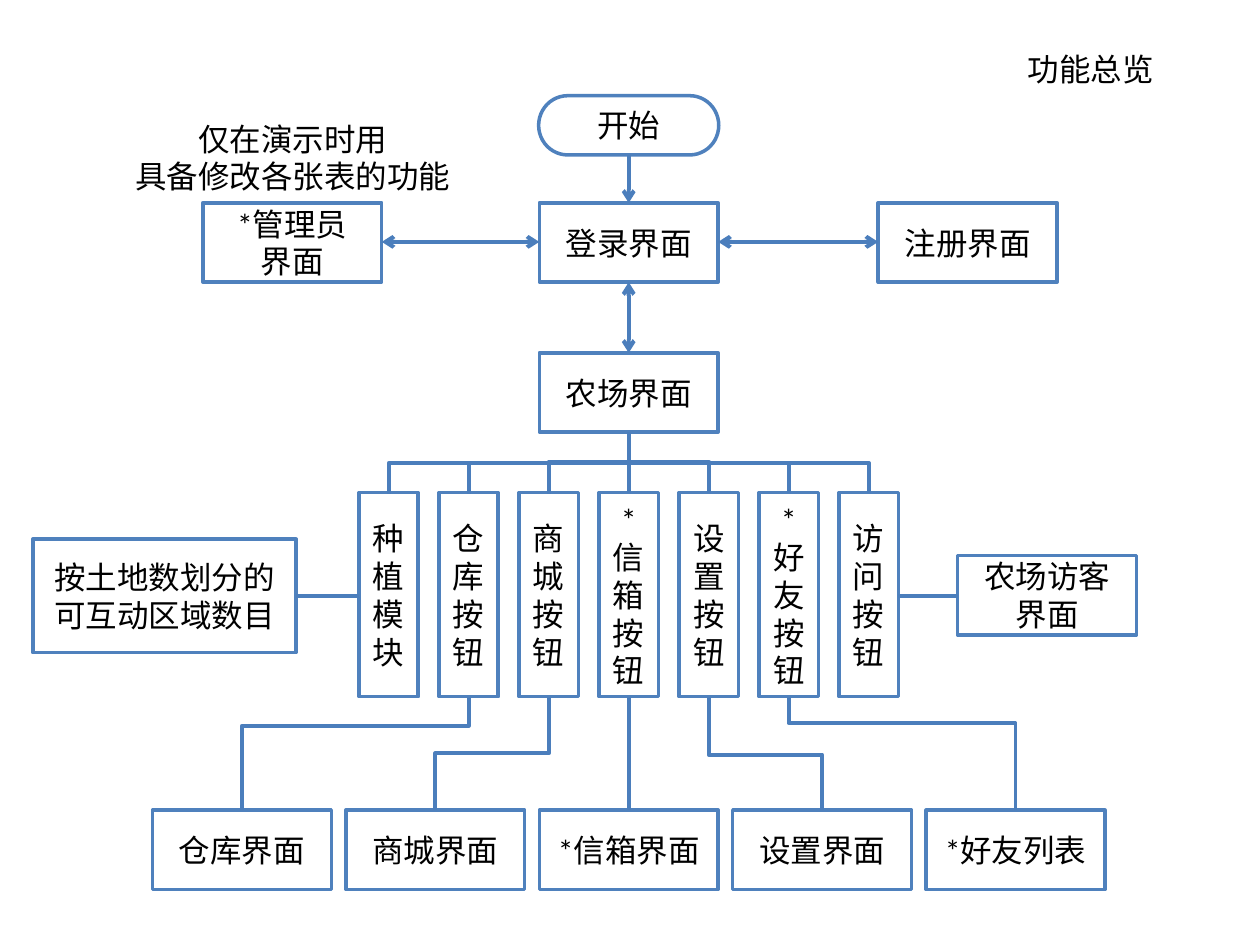
from dataclasses import dataclass

from lxml.etree import SubElement
from pptx import Presentation
from pptx.dml.color import RGBColor
from pptx.enum.shapes import MSO_CONNECTOR, MSO_SHAPE
from pptx.enum.text import MSO_ANCHOR, MSO_AUTO_SIZE, PP_ALIGN
from pptx.oxml.ns import qn
from pptx.util import Inches, Pt


@dataclass(frozen=True)
class Theme:
    """Colours, type and line sizes of the flowchart."""
    paper: RGBColor = RGBColor.from_string("FFFFFF")
    ink: RGBColor = RGBColor.from_string("000000")
    border: RGBColor = RGBColor.from_string("4F81BD")
    wire: RGBColor = RGBColor.from_string("4B7EBC")
    font: str = "Calibri"
    text_size: Pt = Pt(18)
    border_width: Pt = Pt(2)
    wire_width: Pt = Pt(2.25)


class Flowchart:
    """Draws on one slide, measured in a grid of 100 columns and 75 rows."""

    def __init__(self, deck, theme):
        """Add a blank slide and derive the grid cell from its size."""
        self.theme = theme
        self.page = deck.slides.add_slide(deck.slide_layouts[6])
        self.column = deck.slide_width / 100
        self.row = deck.slide_height / 75

    def place(self, x, y):
        """Turn a column and a row into slide lengths."""
        return round(x * self.column), round(y * self.row)

    def set_text(self, shape, text, align):
        """Fill a shape with styled paragraphs."""
        shape.text_frame.text = text
        for para in shape.text_frame.paragraphs:
            para.alignment = align
            for span in para.runs:
                span.font.name = self.theme.font
                span.font.size = self.theme.text_size
                span.font.color.rgb = self.theme.ink

    def box(self, text, center, top, width=14.2, height=6.3, kind=MSO_SHAPE.RECTANGLE):
        """Draw an outlined step centred on a column."""
        box = self.page.shapes.add_shape(
            kind, *self.place(center - width / 2, top), *self.place(width, height))
        box.shadow.inherit = False
        box.fill.solid()
        box.fill.fore_color.rgb = self.theme.paper
        box.line.color.rgb = self.theme.border
        box.line.width = self.theme.border_width
        box.text_frame.word_wrap = True
        box.text_frame.vertical_anchor = MSO_ANCHOR.MIDDLE
        self.set_text(box, text, PP_ALIGN.CENTER)

    def label(self, text, left, top, width, height, align=PP_ALIGN.LEFT):
        """Add free text without wrapping."""
        label = self.page.shapes.add_textbox(*self.place(left, top), *self.place(width, height))
        label.text_frame.word_wrap = False
        label.text_frame.auto_size = MSO_AUTO_SIZE.SHAPE_TO_FIT_TEXT
        self.set_text(label, text, align)

    def wire(self, kind, start, end, arrows=()):
        """Draw a connector with arrowheads at the named ends."""
        wire = self.page.shapes.add_connector(kind, *self.place(*start), *self.place(*end))
        wire.line.color.rgb = self.theme.wire
        wire.line.width = self.theme.wire_width
        outline = wire._element.spPr.find(qn("a:ln"))
        for name in arrows:
            SubElement(outline, qn(f"a:{name}"), type="arrow")
        SubElement(wire._element.spPr, qn("a:effectLst"))
        return wire

    def line(self, start, end, arrows=()):
        """Draw a straight connector."""
        self.wire(MSO_CONNECTOR.STRAIGHT, start, end, arrows)

    def elbow(self, start, end, bend):
        """Draw a connector that leaves vertically and turns at the bend row."""
        (x1, y1), (x2, y2) = start, end
        middle_x, middle_y = (x1 + x2) / 2, (y1 + y2) / 2
        turned = [(middle_x + y - middle_y, middle_y - x + middle_x) for x, y in (start, end)]
        properties = self.wire(MSO_CONNECTOR.ELBOW, *turned)._element.spPr
        properties.find(qn("a:xfrm")).set("rot", str(90 * 60000))
        adjustments = properties.find(qn("a:prstGeom")).get_or_add_avLst()
        share = round((bend - y1) / (y2 - y1) * 100000)
        SubElement(adjustments, qn("a:gd"), name="adj1", fmla=f"val {share}")


def main():
    """Build the function overview of the farm game."""
    deck = Presentation()
    deck.slide_width, deck.slide_height = Inches(10), Inches(7.5)
    chart = Flowchart(deck, Theme())

    axis, admin, register = 49.9, 23.2, 76.8
    half_box, half_button = 7.1, 2.35
    login_top, farm_top, button_top, screen_top = 16.1, 28, 39.1, 64.3
    button_bottom, login_middle, side_middle = 55.3, 19.2, 47.3
    both = ("headEnd", "tailEnd")
    buttons = ["种植模块", "仓库按钮", "商城按钮", "*信箱按钮", "设置按钮", "*好友按钮", "访问按钮"]
    screens = ["仓库界面", "商城界面", "*信箱界面", "设置界面", "*好友列表"]
    button_x = [axis + 6.35 * (i - 3) for i in range(len(buttons))]
    screen_x = [axis + 15.35 * (i - 2) for i in range(len(screens))]

    chart.label("功能总览", 80.6, 3.5, 12.1, 4)
    chart.label("仅在演示时用\n具备修改各张表的功能", 9.6, 9, 27.3, 7.1, PP_ALIGN.CENTER)

    chart.box("开始", axis, 7.6, 14.3, 4.7, MSO_SHAPE.FLOWCHART_TERMINATOR)
    chart.box("*管理员\n界面", admin, login_top)
    chart.box("登录界面", axis, login_top)
    chart.box("注册界面", register, login_top)
    chart.box("农场界面", axis, farm_top)
    chart.box("按土地数划分的可互动区域数目", 13.05, 42.8, 20.9, 9)
    chart.box("农场访客界面", 83.1, 44.1)
    for text, x in zip(buttons, button_x):
        chart.box(text, x, button_top, 2 * half_button, button_bottom - button_top)
    for text, x in zip(screens, screen_x):
        chart.box(text, x, screen_top)

    chart.line((axis, 12.3), (axis, login_top), ("tailEnd",))
    chart.line((axis, 22.4), (axis, farm_top), both)
    chart.line((admin + half_box, login_middle), (axis - half_box, login_middle), both)
    chart.line((axis + half_box, login_middle), (register - half_box, login_middle), both)
    chart.line((axis, 34.3), (axis, button_top))
    chart.line((23.5, side_middle), (button_x[0] - half_button, side_middle))
    chart.line((button_x[-1] + half_button, side_middle), (76, side_middle))

    for i, bend in enumerate((36.7, 36.7, 36.6)):
        chart.elbow((button_x[-1 - i], button_top), (button_x[i], button_top + 0.1), bend)
    for x, target, bend in zip(button_x[1:], screen_x, (57.6, 59.8, None, 59.9, 57.4)):
        if bend is None:
            chart.line((x, button_bottom), (target, screen_top))
        else:
            chart.elbow((x, button_bottom), (target, screen_top), bend)

    deck.save("out.pptx")


if __name__ == "__main__":
    main()
